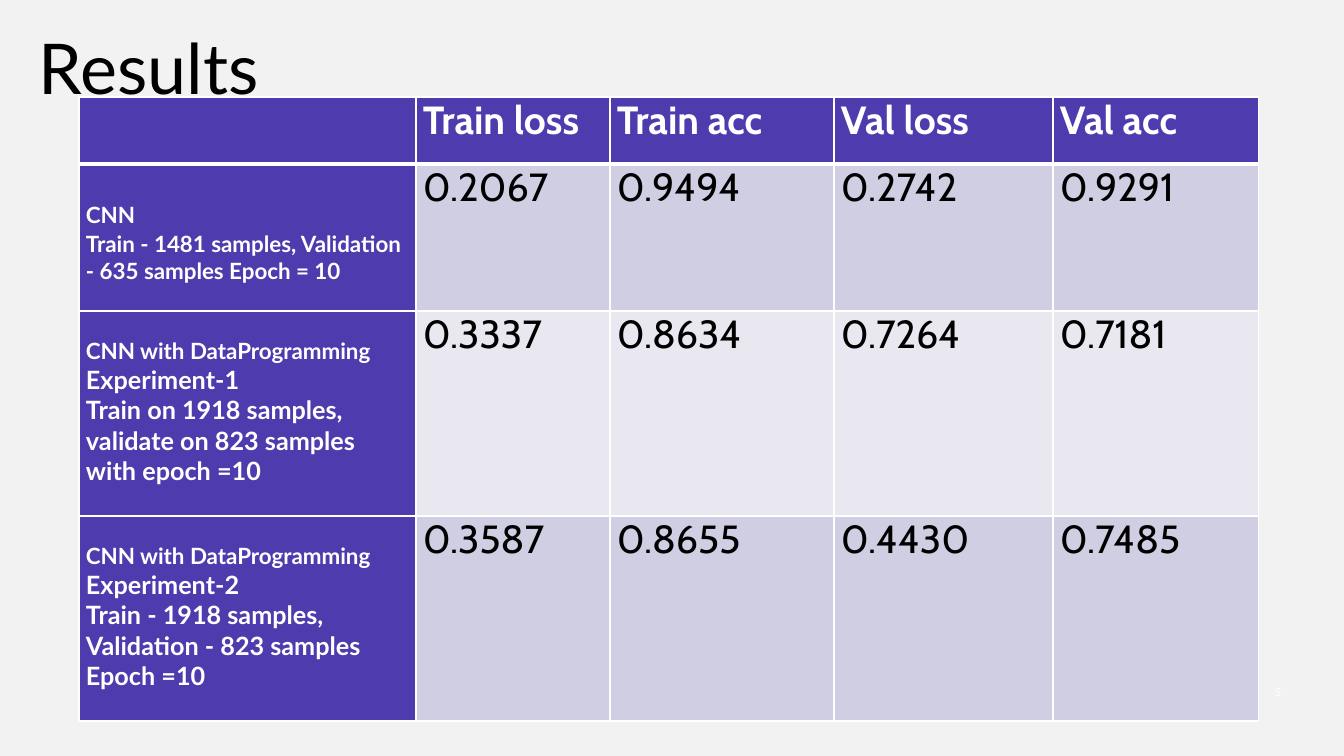
"""Build the Results slide: a table of losses and accuracies for three CNN runs."""
from pptx import Presentation
from pptx.dml.color import RGBColor as RGB
from pptx.enum.text import MSO_ANCHOR as ANCHOR
from pptx.oxml import parse_xml
from pptx.oxml.ns import nsdecls
from pptx.util import Emu, Pt

COLORS = {"bg": "F2F2F2", "purple": "4E3BAD", "odd": "D0CEE3", "even": "E9E8F1",
          "white": "FFFFFF", "black": "000000"}
FORMATS = {
    "title": {"name": "Lato", "size": Pt(50), "color": "black"},
    "number": {"name": "Lato", "size": Pt(8), "color": "white"},
    "head": {"name": "Cabin", "size": Pt(28), "bold": True, "color": "white"},
    "value": {"name": "Cabin", "size": Pt(28), "bold": False, "color": "black"},
    "label": {"name": "Lato", "size": Pt(16), "bold": True, "color": "white"},
    "detail": {"name": "Lato", "size": Pt(18), "bold": True, "color": "white"},
}
COLS = [337, 194, 224, 219, 206]
HEAD_HEIGHT = 67
HEADS = ["Train loss", "Train acc", "Val loss", "Val acc"]
RUNS = [
    {"height": 147, "top": 38, "gap": 2,
     "label": [("CNN", "label"),
               ("Train - 1481 samples, Validation - 635 samples Epoch = 10", "label")],
     "values": ["0.2067", "0.9494", "0.2742", "0.9291"]},
    {"height": 205, "top": 27, "gap": 0,
     "label": [("CNN with DataProgramming", "label"), ("Experiment-1", "detail"),
               ("Train on 1918 samples, validate on 823 samples with epoch =10", "detail")],
     "values": ["0.3337", "0.8634", "0.7264", "0.7181"]},
    {"height": 205, "top": 27, "gap": 0,
     "label": [("CNN with DataProgramming", "label"), ("Experiment-2", "detail"),
               ("Train - 1918 samples, Validation - 823 samples Epoch =10", "detail")],
     "values": ["0.3587", "0.8655", "0.4430", "0.7485"]},
]


def px(n):
    return Emu(round(n * 914400 / 100.8))


def rgb(name):
    return RGB.from_string(COLORS[name])


class Deck:
    def __init__(self, width, height):
        self.prs = Presentation()
        self.prs.slide_width, self.prs.slide_height = px(width), px(height)
        self.s = self.prs.slides.add_slide(self.prs.slide_layouts[6])
        fill = self.s.background.fill
        fill.solid()
        fill.fore_color.rgb = rgb("bg")

    def lines(self, tf, lines, gap=0):
        for i, (text, style) in enumerate(lines):
            p = tf.add_paragraph() if i else tf.paragraphs[0]
            p.space_after = px(gap if i == 0 else 0)
            r = p.add_run()
            r.text = text
            for key, value in FORMATS[style].items():
                if key == "color":
                    r.font.color.rgb = rgb(value)
                else:
                    setattr(r.font, key, value)

    def text(self, x, y, w, h, text, style, spacing=1.0):
        tf = self.s.shapes.add_textbox(px(x), px(y), px(w), px(h)).text_frame
        tf.word_wrap = True
        tf.vertical_anchor = ANCHOR.MIDDLE
        self.lines(tf, [(text, style)])
        tf.paragraphs[0].line_spacing = spacing

    def table(self, x, y, cols, rows):
        frame = self.s.shapes.add_table(len(rows), len(cols), px(x), px(y),
                                        px(sum(cols)), px(sum(rows)))
        tbl = frame.table
        for col, w in zip(tbl.columns, cols):
            col.width = px(w)
        for row, h in zip(tbl.rows, rows):
            row.height = px(h)
        return tbl

    def cell(self, cell, lines, fill, top=0, gap=0, borders=(1, 1, 1, 1)):
        margins = {"margin_left": 7, "margin_right": 7, "margin_top": top, "margin_bottom": 0}
        for key, value in margins.items():
            setattr(cell, key, px(value))
        tcPr = cell._tc.get_or_add_tcPr()
        for side, width in zip("LRTB", borders):
            tcPr.append(parse_xml(
                f'<a:ln{side} {nsdecls("a")} w="{Pt(width)}"><a:solidFill>'
                f'<a:srgbClr val="{COLORS["white"]}"/></a:solidFill></a:ln{side}>'))
        cell.fill.solid()
        cell.fill.fore_color.rgb = rgb(fill)
        self.lines(cell.text_frame, lines, gap)


def main():
    d = Deck(1344, 756)
    d.text(29, 0, 592, 144, "Results", "title", 0.9)
    tbl = d.table(79, 97, COLS, [HEAD_HEIGHT] + [run["height"] for run in RUNS])
    for c, head in enumerate([""] + HEADS):
        lines = [(head, "head")] if head else []
        d.cell(tbl.cell(0, c), lines, "purple", borders=(1, 1, 1, 3))
    for i, run in enumerate(RUNS, 1):
        borders = (1, 1, 3 if i == 1 else 1, 1)
        d.cell(tbl.cell(i, 0), run["label"], "purple", run["top"], run["gap"], borders)
        for c, value in enumerate(run["values"], 1):
            d.cell(tbl.cell(i, c), [(value, "value")], "odd" if i % 2 else "even",
                   borders=borders)
    d.text(1265, 677, 40, 30, "5", "number")
    d.prs.save("out.pptx")


if __name__ == "__main__":
    main()
